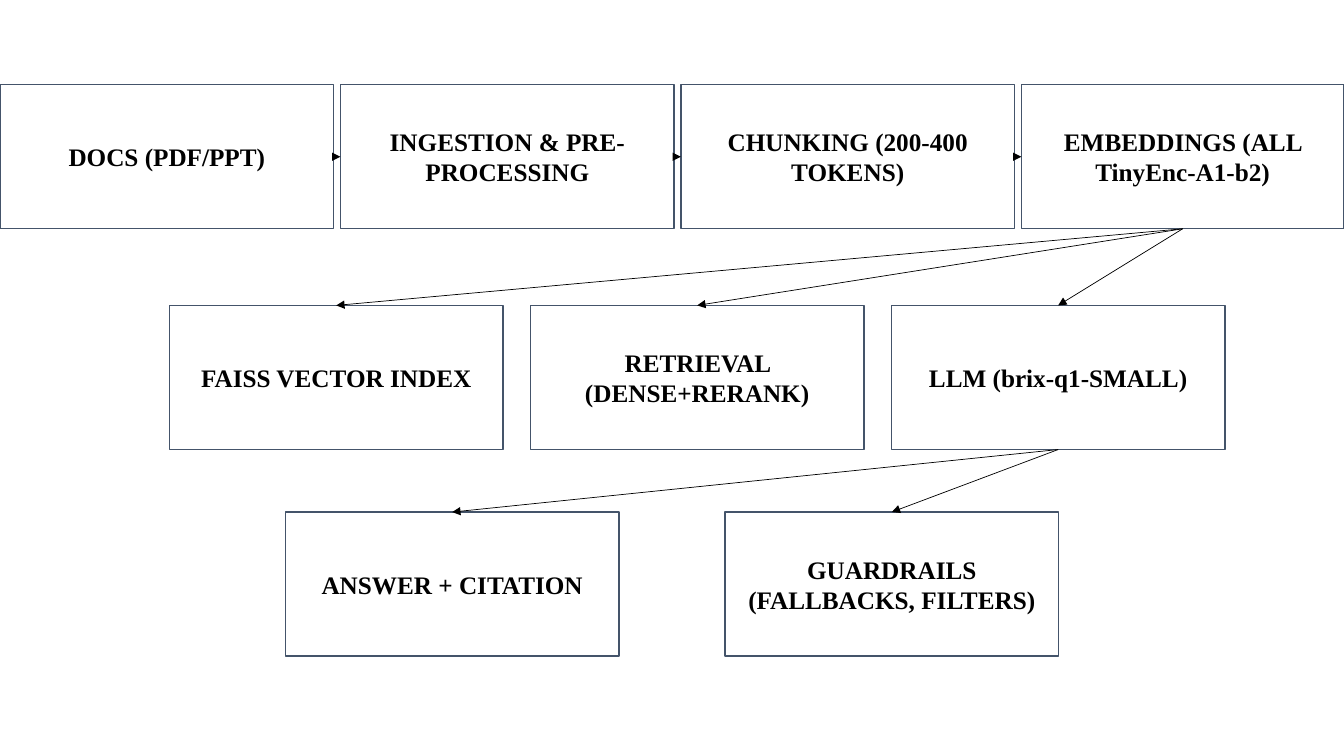
from lxml.etree import SubElement
from pptx import Presentation
from pptx.dml.color import RGBColor
from pptx.enum.shapes import MSO_CONNECTOR, MSO_SHAPE
from pptx.enum.text import MSO_ANCHOR, PP_ALIGN
from pptx.oxml.ns import qn
from pptx.util import Inches, Pt


def paint(fmt, color):
    fmt.solid()
    fmt.fore_color.rgb = RGBColor.from_string(color)


prs = Presentation()
prs.slide_width, prs.slide_height = Inches(13.33), Inches(7.5)
s = prs.slides.add_slide(prs.slide_layouts[6])

BOX_W, BOX_H, LAST_W = 3.31, 1.43, 3.2
FONT = {"name": "Times New Roman", "size": Pt(18), "bold": True}
FRAME = {"word_wrap": True, "vertical_anchor": MSO_ANCHOR.MIDDLE}

ROWS = [
    (0, 0.84, (13.33 - LAST_W) / 3,
     ["DOCS (PDF/PPT)", "INGESTION & PRE-PROCESSING",
      "CHUNKING (200-400 TOKENS)", "EMBEDDINGS (ALL TinyEnc-A1-b2)"]),
    (1.68, 3.03, 3.58,
     ["FAISS VECTOR INDEX", "RETRIEVAL (DENSE+RERANK)", "LLM (brix-q1-SMALL)"]),
    (2.83, 5.08, 4.36,
     ["ANSWER + CITATION", "GUARDRAILS (FALLBACKS, FILTERS)"]),
]

boxes = []
for left, top, pitch, labels in ROWS:
    for col, label in enumerate(labels):
        width = LAST_W if col == 3 else BOX_W
        sp = s.shapes.add_shape(MSO_SHAPE.RECTANGLE, Inches(left + col * pitch),
                                Inches(top), Inches(width), Inches(BOX_H))
        sp.shadow.inherit = False
        paint(sp.fill, "FFFFFF")
        paint(sp.line.fill, "44546A")
        sp.line.width = Pt(1)
        tf = sp.text_frame
        for key, value in FRAME.items():
            setattr(tf, key, value)
        p = tf.paragraphs[0]
        p.alignment = PP_ALIGN.CENTER
        r = p.add_run()
        r.text = label
        for key, value in FONT.items():
            setattr(r.font, key, value)
        paint(r.font.fill, "000000")
        boxes.append(sp)

docs, ingestion, chunking, embeddings, index, retrieval, llm, answer, guardrails = boxes
TOP, LEFT, BOTTOM, RIGHT = range(4)
LINKS = [
    (docs, RIGHT, ingestion, LEFT),
    (ingestion, RIGHT, chunking, LEFT),
    (chunking, RIGHT, embeddings, LEFT),
    (embeddings, BOTTOM, llm, TOP),
    (embeddings, BOTTOM, retrieval, TOP),
    (embeddings, BOTTOM, index, TOP),
    (llm, BOTTOM, guardrails, TOP),
    (llm, BOTTOM, answer, TOP),
]

for source, start, target, end in LINKS:
    link = s.shapes.add_connector(MSO_CONNECTOR.STRAIGHT, 0, 0, 0, 0)
    link.begin_connect(source, start)
    link.end_connect(target, end)
    paint(link.line.fill, "000000")
    link.line.width = Pt(0.5)
    props = link.element.spPr
    SubElement(props.find(qn("a:ln")), qn("a:tailEnd"), type="triangle")
    SubElement(props, qn("a:effectLst"))

prs.save("out.pptx")
